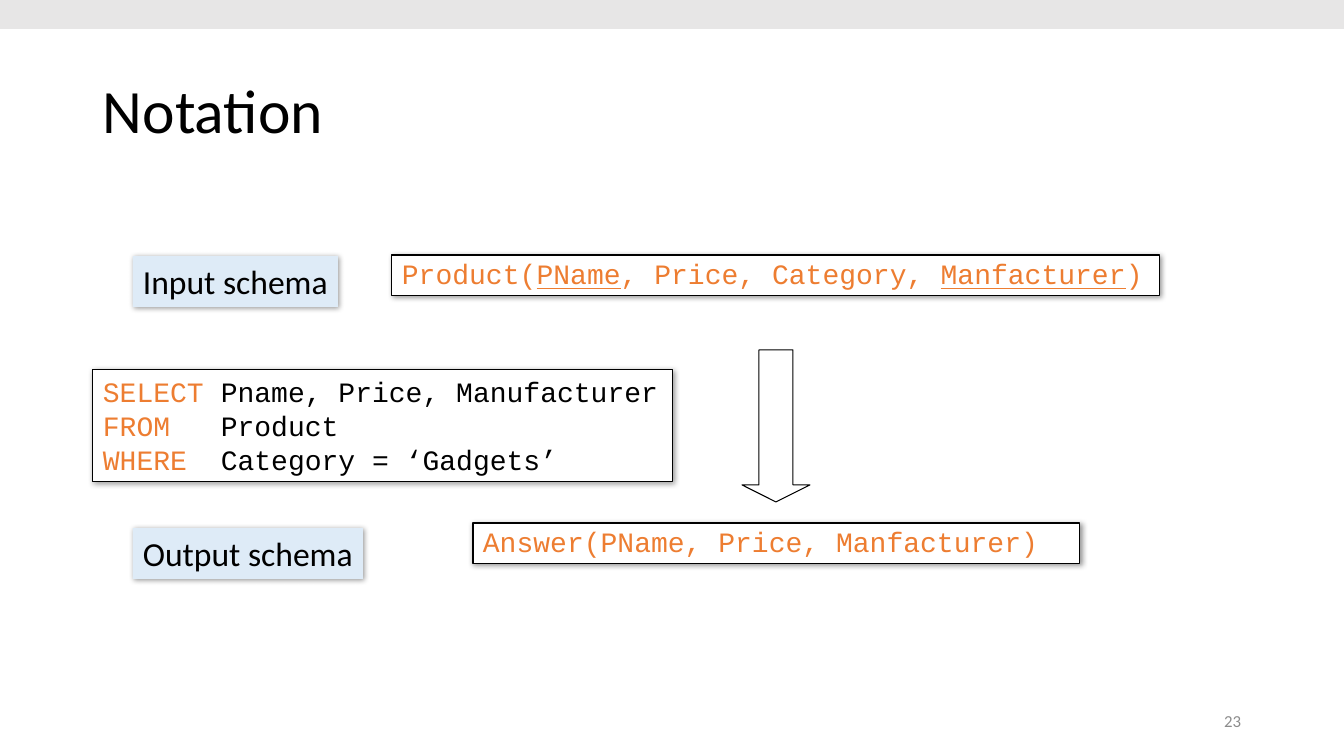
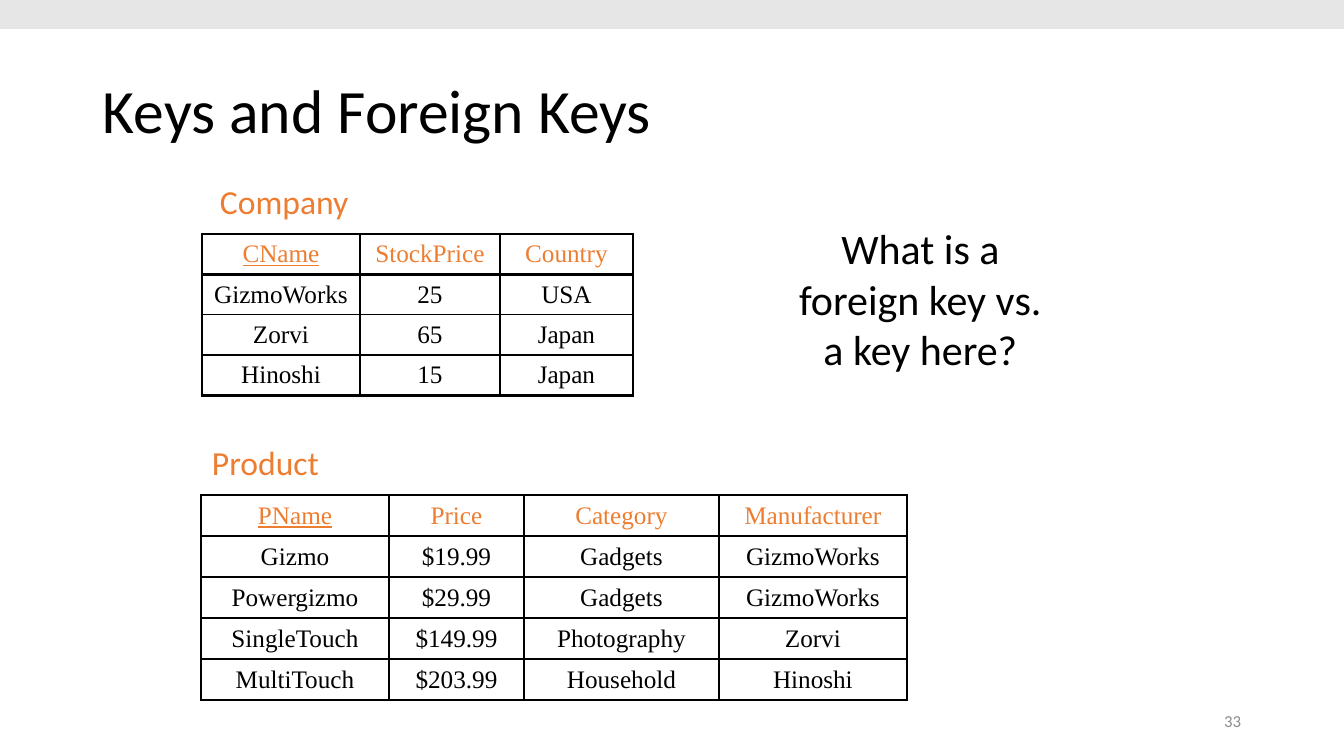
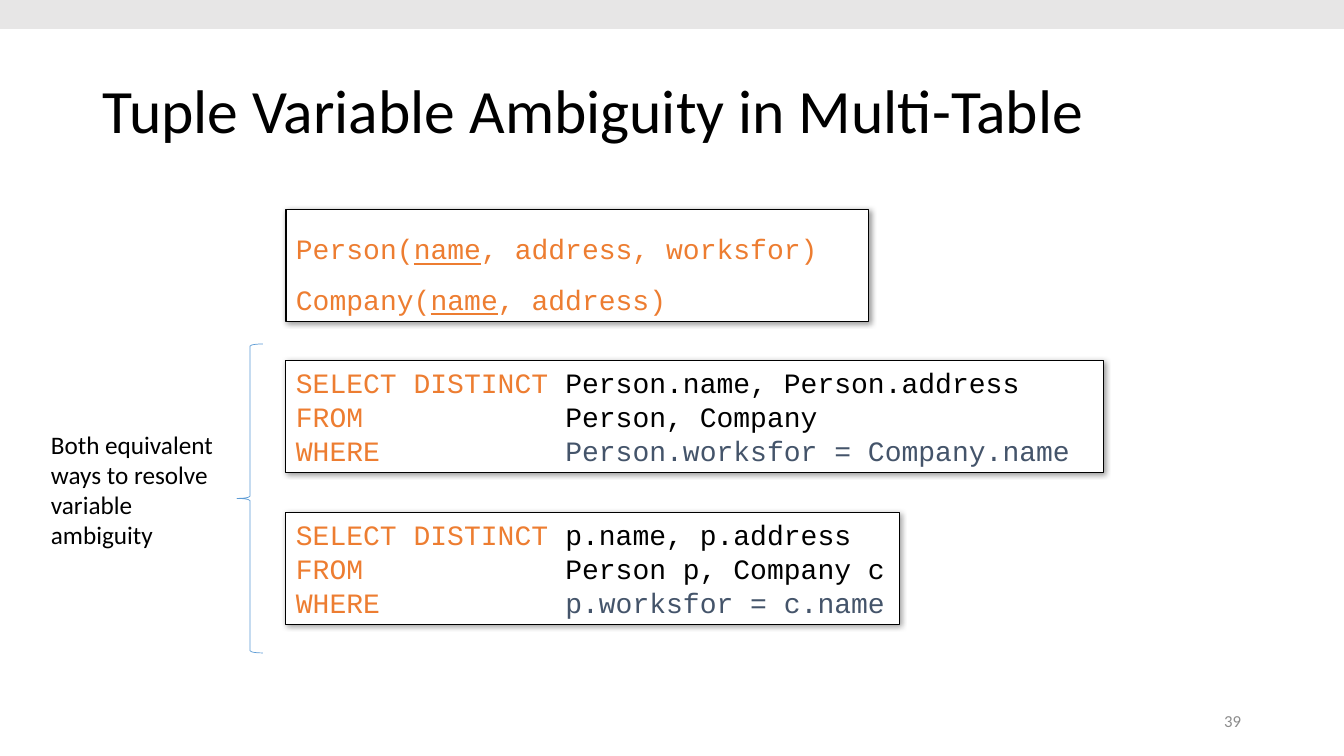
from dataclasses import dataclass
from pptx import Presentation
from pptx.dml.color import RGBColor
from pptx.enum.shapes import MSO_SHAPE
from pptx.enum.text import MSO_ANCHOR, PP_ALIGN
from pptx.oxml import parse_xml
from pptx.oxml.ns import nsdecls
from pptx.util import Pt


@dataclass(frozen=True)
class Theme:
    ink: str = "000000"
    paper: str = "FFFFFF"
    accent: str = "ED7D31"
    slate: str = "44546A"
    label: str = "DEEBF7"
    band: str = "E7E6E6"
    brace: str = "5B9BD5"
    muted: str = "8C8C8C"
    sans: str = "Calibri"
    mono: str = "Courier New"
    serif: str = "Times New Roman"
    title_size: int = 44
    question_size: int = 30
    label_size: int = 24
    code_size: int = 20
    body_size: int = 18
    number_size: int = 12
    thin: float = 1
    thick: float = 2.25
    outline: float = 0.75
    hairline: float = 0.5


THEME = Theme()
PX = 914400 / 100.8
WIDTH, HEIGHT = 1344, 756
BAND_BOX = (0, 0, WIDTH, 29)
TITLE_BOX = (93, 41, 1159, 146)
NUMBER_BOX = (949, 701, 302, 40)

KEYWORD = (THEME.accent, False)
KEY = (THEME.accent, True)
PLAIN = (THEME.ink, False)
JOIN = (THEME.slate, False)


def distinct_query(columns, tables, condition):
    return [
        [("SELECT DISTINCT ", KEYWORD), (columns, PLAIN)],
        [("FROM            ", KEYWORD), (tables, PLAIN)],
        [("WHERE           ", KEYWORD), (condition, JOIN)],
    ]


SLIDES = [
    {
        "title": "Notation",
        "number": "23",
        "arrow": (742, 350, 68, 152),
        "labels": [
            ("Input schema", (133, 256, 205, 51)),
            ("Output schema", (133, 528, 230, 51)),
        ],
        "code": [
            ((93, 370, 580, 112), 1, [
                [("SELECT ", KEYWORD), ("Pname, Price, Manufacturer", PLAIN)],
                [("FROM   ", KEYWORD), ("Product", PLAIN)],
                [("WHERE  ", KEYWORD), ("Category = ‘Gadgets’", PLAIN)],
            ]),
            ((392, 255, 768, 41), 0.9, [
                [("Product(", KEYWORD), ("PName", KEY),
                 (", Price, Category, ", KEYWORD), ("Manfacturer", KEY), (")", KEYWORD)],
            ]),
            ((473, 523, 607, 41), 0.9, [
                [("Answer(PName, Price, Manfacturer)", KEYWORD)],
            ]),
        ],
    },
    {
        "title": "Keys and Foreign Keys",
        "number": "33",
        "tables": [
            {
                "name": "Company", "name_box": (210, 176, 151, 50),
                "at": (202, 234), "columns": [158, 140, 133], "row_height": 40,
                "rows": [
                    ("CName", "StockPrice", "Country"),
                    ("GizmoWorks", "25", "USA"),
                    ("Zorvi", "65", "Japan"),
                    ("Hinoshi", "15", "Japan"),
                ],
            },
            {
                "name": "Product", "name_box": (202, 437, 128, 50),
                "at": (201, 495), "columns": [188, 135, 195, 188], "row_height": 41,
                "rows": [
                    ("PName", "Price", "Category", "Manufacturer"),
                    ("Gizmo", "$19.99", "Gadgets", "GizmoWorks"),
                    ("Powergizmo", "$29.99", "Gadgets", "GizmoWorks"),
                    ("SingleTouch", "$149.99", "Photography", "Zorvi"),
                    ("MultiTouch", "$203.99", "Household", "Hinoshi"),
                ],
            },
        ],
        "question": ("What is a foreign key vs. a key here?", (786, 218, 269, 163)),
    },
    {
        "title": "Tuple Variable Ambiguity in Multi-Table",
        "number": "39",
        "code": [
            ((286, 210, 583, 112), 1.5, [
                [("Person(", KEYWORD), ("name", KEY), (", address, worksfor)", KEYWORD)],
                [("Company(", KEYWORD), ("name", KEY), (", address)", KEYWORD)],
            ]),
            ((286, 361, 818, 112), 1, distinct_query(
                "Person.name, Person.address", "Person, Company",
                "Person.worksfor = Company.name")),
            ((286, 513, 614, 112), 1, distinct_query(
                "p.name, p.address", "Person p, Company c", "p.worksfor = c.name")),
        ],
        "brace": (237, 344, 26, 309),
        "note": ("Both equivalent ways to resolve variable ambiguity", (41, 424, 196, 132)),
    },
]


def emu(*lengths):
    return [round(length * PX) for length in lengths]


def style(font, face, size, color, underline=False):
    font.name, font.size = face, Pt(size)
    font.color.rgb = RGBColor.from_string(color)
    font.underline = underline


def write(frame, text, size, color, align=PP_ALIGN.LEFT, anchor=MSO_ANCHOR.TOP,
          wrap=True, spacing=1):
    frame.text = text
    frame.word_wrap = wrap
    frame.vertical_anchor = anchor
    paragraph = frame.paragraphs[0]
    paragraph.alignment = align
    paragraph.line_spacing = spacing
    style(paragraph.runs[0].font, THEME.sans, size, color)


def add_text(slide, box, *args, **options):
    write(slide.shapes.add_textbox(*emu(*box)).text_frame, *args, **options)


def add_figure(slide, preset, box, fill=None, line=None, weight=THEME.outline):
    figure = slide.shapes.add_shape(preset, *emu(*box))
    figure.shadow.inherit = False
    if fill:
        figure.fill.solid()
        figure.fill.fore_color.rgb = RGBColor.from_string(fill)
    else:
        figure.fill.background()
    if line:
        figure.line.color.rgb = RGBColor.from_string(line)
        figure.line.width = Pt(weight)
    else:
        figure.line.fill.background()
    return figure


def add_card(slide, box, fill, line=None):
    card = add_figure(slide, MSO_SHAPE.RECTANGLE, box, fill, line)
    effects = card._element.spPr.find("{http://schemas.openxmlformats.org/drawingml/2006/main}effectLst")
    effects.append(parse_xml(
        f'<a:outerShdw {nsdecls("a")} blurRad="50800" dist="12700" dir="2700000" '
        f'algn="tl" rotWithShape="0"><a:srgbClr val="{THEME.ink}">'
        '<a:alpha val="40000"/></a:srgbClr></a:outerShdw>'))
    return card


def add_code(slide, box, spacing, lines):
    frame = add_card(slide, box, THEME.paper, THEME.ink).text_frame
    frame.word_wrap = True
    frame.vertical_anchor = MSO_ANCHOR.TOP
    for index, parts in enumerate(lines):
        paragraph = frame.add_paragraph() if index else frame.paragraphs[0]
        paragraph.alignment = PP_ALIGN.LEFT
        paragraph.line_spacing = spacing
        for text, (color, underline) in parts:
            run = paragraph.add_run()
            run.text = text
            style(run.font, THEME.mono, THEME.code_size, color, underline)


def set_borders(cell, thick_sides):
    for side in "LRTB":
        weight = Pt(THEME.thick if side in thick_sides else THEME.thin)
        cell._tc.get_or_add_tcPr().append(parse_xml(
            f'<a:ln{side} {nsdecls("a")} w="{weight}"><a:solidFill>'
            f'<a:srgbClr val="{THEME.ink}"/></a:solidFill></a:ln{side}>'))


def add_relation(slide, relation):
    add_text(slide, relation["name_box"], relation["name"], THEME.label_size,
             THEME.accent, wrap=False)
    rows, columns, row_height = relation["rows"], relation["columns"], relation["row_height"]
    last_row, last_column = len(rows) - 1, len(columns) - 1
    table = slide.shapes.add_table(
        len(rows), len(columns),
        *emu(*relation["at"], sum(columns), row_height * len(rows))).table
    table.first_row = table.horz_banding = False
    for column, width in zip(table.columns, emu(*columns)):
        column.width = width
    for r, values in enumerate(rows):
        table.rows[r].height = emu(row_height)[0]
        for c, value in enumerate(values):
            cell = table.cell(r, c)
            thick = {"L": c == 0, "R": c == last_column,
                     "T": r <= 1, "B": r in (0, last_row)}
            set_borders(cell, [side for side, on in thick.items() if on])
            cell.fill.solid()
            cell.fill.fore_color.rgb = RGBColor.from_string(THEME.paper)
            cell.vertical_anchor = MSO_ANCHOR.MIDDLE
            cell.text_frame.text = value
            paragraph = cell.text_frame.paragraphs[0]
            paragraph.alignment = PP_ALIGN.CENTER
            style(paragraph.runs[0].font, THEME.serif, THEME.body_size,
                  THEME.ink if r else THEME.accent, r == 0 and c == 0)


def build_slide(deck, content):
    slide = deck.slides.add_slide(deck.slide_layouts[6])
    add_figure(slide, MSO_SHAPE.RECTANGLE, BAND_BOX, THEME.band)
    add_text(slide, TITLE_BOX, content["title"], THEME.title_size, THEME.ink,
             anchor=MSO_ANCHOR.MIDDLE, spacing=0.9)
    add_text(slide, NUMBER_BOX, content["number"], THEME.number_size, THEME.muted,
             align=PP_ALIGN.RIGHT, anchor=MSO_ANCHOR.MIDDLE)
    for text, box in content.get("labels", []):
        write(add_card(slide, box, THEME.label).text_frame, text,
              THEME.label_size, THEME.ink, wrap=False)
    for box, spacing, lines in content.get("code", []):
        add_code(slide, box, spacing, lines)
    for relation in content.get("tables", []):
        add_relation(slide, relation)
    if "arrow" in content:
        arrow = add_figure(slide, MSO_SHAPE.DOWN_ARROW, content["arrow"], line=THEME.ink)
        arrow.adjustments[0], arrow.adjustments[1] = 0.5, 0.25
    if "brace" in content:
        add_figure(slide, MSO_SHAPE.LEFT_BRACE, content["brace"],
                   line=THEME.brace, weight=THEME.hairline)
    if "question" in content:
        text, box = content["question"]
        add_text(slide, box, text, THEME.question_size, THEME.ink, align=PP_ALIGN.CENTER)
    if "note" in content:
        text, box = content["note"]
        add_text(slide, box, text, THEME.body_size, THEME.ink)


def main():
    deck = Presentation()
    deck.slide_width, deck.slide_height = emu(WIDTH, HEIGHT)
    for content in SLIDES:
        build_slide(deck, content)
    deck.save("out.pptx")


if __name__ == "__main__":
    main()
